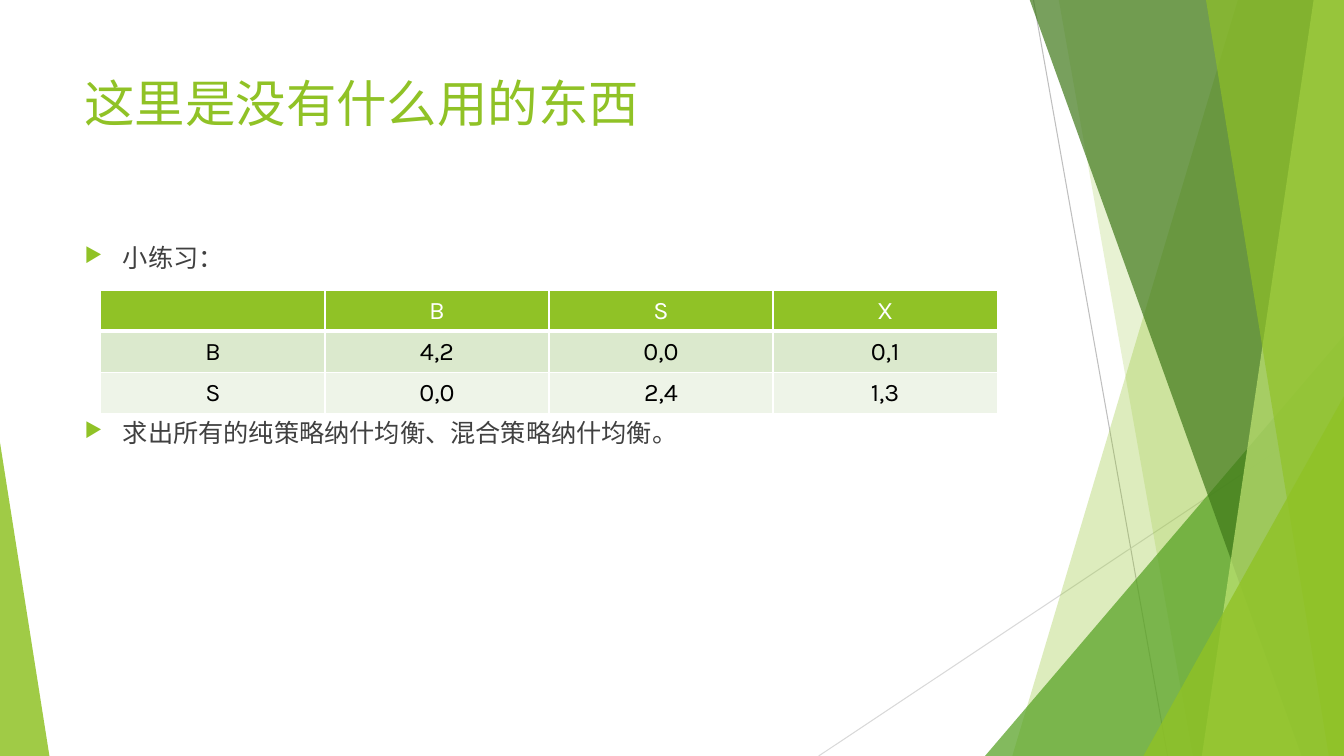
from dataclasses import dataclass

from lxml import etree
from pptx import Presentation
from pptx.dml.color import RGBColor
from pptx.enum.shapes import MSO_CONNECTOR, MSO_SHAPE
from pptx.enum.text import MSO_ANCHOR, PP_ALIGN
from pptx.oxml import parse_xml
from pptx.oxml.ns import nsdecls, qn
from pptx.util import Inches, Pt

STRAIGHT = MSO_CONNECTOR.STRAIGHT
TRIANGLE = MSO_SHAPE.ISOSCELES_TRIANGLE
MIDDLE = MSO_ANCHOR.MIDDLE
CENTER = PP_ALIGN.CENTER
LEFT = PP_ALIGN.LEFT

LIME = RGBColor(0x90, 0xC2, 0x26)
GREEN = RGBColor(0x54, 0xA0, 0x21)
FOREST = RGBColor(0x3F, 0x78, 0x19)
PALE_LIME = RGBColor(0xC0, 0xE4, 0x74)
SILVER = RGBColor(0xBF, 0xBF, 0xBF)
LIGHT_GRAY = RGBColor(0xD9, 0xD9, 0xD9)
CHARCOAL = RGBColor(0x40, 0x40, 0x40)
BLACK = RGBColor(0, 0, 0)
WHITE = RGBColor(0xFF, 0xFF, 0xFF)
ROW_FILLS = [LIME, RGBColor(0xDB, 0xE9, 0xCD), RGBColor(0xEE, 0xF4, 0xE8)]

FONT = "Karla"
WIDTH, HEIGHT = 13.33, 7.5
TOP = -0.01
PAYOFFS = [
    ["", "B", "S", "X"],
    ["B", "4,2", "0,0", "0,1"],
    ["S", "0,0", "2,4", "1,3"],
]


@dataclass
class Ray:
    start: tuple[float, float]
    end: tuple[float, float]
    color: RGBColor


@dataclass
class Band:
    top_left: float
    bottom_left: float
    color: RGBColor
    opacity: int


@dataclass
class Corner:
    left: float
    top: float
    width: float
    apex: float
    color: RGBColor
    opacity: int


RAYS = [
    Ray((10.25, 0), (11.58, HEIGHT), SILVER),
    Ray((WIDTH, 4.03), (8.12, HEIGHT), LIGHT_GRAY),
]
FACETS = [
    Band(12.28, 10.04, LIME, 30),
    Band(10.5, 11.83, LIME, 20),
    Corner(9.77, 3.33, 3.56, 1, GREEN, 72),
    Band(10.21, 12.91, FOREST, 70),
    Band(13.03, 11.92, PALE_LIME, 70),
    Band(11.96, 13.18, LIME, 65),
    Corner(11.34, 3.93, 1.99, 1, LIME, 80),
    Corner(0, 4.39, 0.49, 0, LIME, 85),
]


def draw_ray(page, ray: Ray) -> None:
    line = page.shapes.add_connector(
        STRAIGHT, *(Inches(value) for value in ray.start + ray.end)
    )
    line.line.color.rgb = ray.color
    line.line.width = Pt(0.75)
    etree.SubElement(line._element.spPr, qn("a:effectLst"))


def draw_facet(page, facet: Band | Corner) -> None:
    if isinstance(facet, Band):
        outline = page.shapes.build_freeform(Inches(facet.top_left), Inches(TOP))
        corners = [(WIDTH, TOP), (WIDTH, HEIGHT), (facet.bottom_left, HEIGHT)]
        outline.add_line_segments([(Inches(x), Inches(y)) for x, y in corners])
        shape = outline.convert_to_shape()
    else:
        shape = page.shapes.add_shape(
            TRIANGLE, Inches(facet.left), Inches(facet.top),
            Inches(facet.width), Inches(HEIGHT - facet.top),
        )
        shape.adjustments[0] = facet.apex
    shape.shadow.inherit = False
    shape.line.fill.background()
    shape.fill.solid()
    shape.fill.fore_color.rgb = facet.color
    color = shape._element.spPr.find(f"{qn('a:solidFill')}/{qn('a:srgbClr')}")
    etree.SubElement(color, qn("a:alpha"), val=str(facet.opacity * 1000))


def add_bullet(para) -> None:
    properties = para._p.get_or_add_pPr()
    properties.set("marL", str(Inches(0.38)))
    properties.set("indent", str(-Inches(0.38)))
    color = etree.SubElement(properties, qn("a:buClr"))
    etree.SubElement(color, qn("a:srgbClr"), val=str(LIME))
    etree.SubElement(properties, qn("a:buSzPct"), val="80000")
    etree.SubElement(properties, qn("a:buChar"), char="▶")


def write_text(para, text: str, *, size: float, color: RGBColor, align=LEFT,
               bullet: bool = False, space_before: float = 0) -> None:
    para.alignment = align
    if space_before:
        para.space_before = Pt(space_before)
    if bullet:
        add_bullet(para)
    span = para.add_run()
    span.text = text
    span.font.name = FONT
    span.font.size = Pt(size)
    span.font.color.rgb = color


def add_text_frame(page, left: float, top: float, width: float, height: float):
    box = page.shapes.add_textbox(
        Inches(left), Inches(top), Inches(width), Inches(height)
    )
    box.text_frame.word_wrap = True
    return box.text_frame


def add_borders(cell, bottom_width: float) -> None:
    properties = cell._tc.get_or_add_tcPr()
    widths = {"lnL": 1, "lnR": 1, "lnT": 1, "lnB": bottom_width}
    for index, (side, width) in enumerate(widths.items()):
        border = parse_xml(
            f'<a:{side} {nsdecls("a")} w="{Pt(width)}"><a:solidFill>'
            f'<a:srgbClr val="{WHITE}"/></a:solidFill></a:{side}>'
        )
        properties.insert(index, border)


def add_payoff_table(page) -> None:
    table = page.shapes.add_table(
        len(PAYOFFS), len(PAYOFFS[0]),
        Inches(1), Inches(2.88), Inches(8.89), Inches(1.22),
    ).table
    for row_index, values in enumerate(PAYOFFS):
        header = row_index == 0
        for column_index, value in enumerate(values):
            cell = table.cell(row_index, column_index)
            cell.fill.solid()
            cell.fill.fore_color.rgb = ROW_FILLS[row_index]
            cell.vertical_anchor = MIDDLE
            add_borders(cell, 3 if header else 1)
            if value:
                write_text(cell.text_frame.paragraphs[0], value, size=18,
                           color=WHITE if header else BLACK, align=CENTER)


def main() -> None:
    deck = Presentation()
    deck.slide_width, deck.slide_height = Inches(WIDTH), Inches(HEIGHT)
    page = deck.slides.add_slide(deck.slide_layouts[6])
    for ray in RAYS:
        draw_ray(page, ray)
    for facet in FACETS:
        draw_facet(page, facet)
    title = add_text_frame(page, 0.74, 0.67, 9.4, 1.44)
    write_text(title.paragraphs[0], "这里是没有什么用的东西", size=36, color=LIME)
    body = add_text_frame(page, 0.74, 2.36, 9.4, 4.24)
    write_text(body.paragraphs[0], "小练习：", size=18, color=CHARCOAL, bullet=True)
    write_text(body.add_paragraph(), "求出所有的纯策略纳什均衡、混合策略纳什均衡。",
               size=18, color=CHARCOAL, bullet=True, space_before=103)
    add_payoff_table(page)
    deck.save("out.pptx")


if __name__ == "__main__":
    main()
